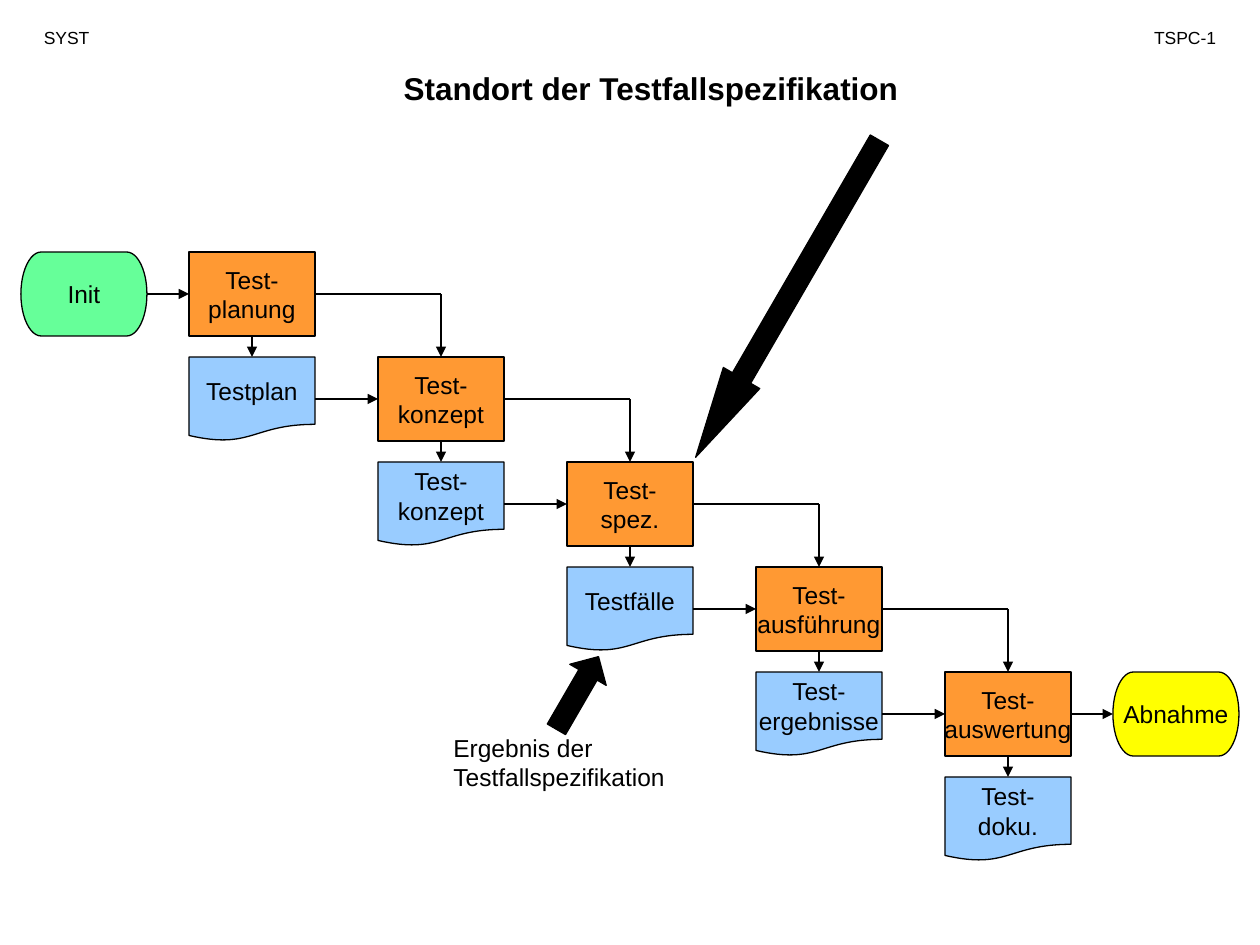
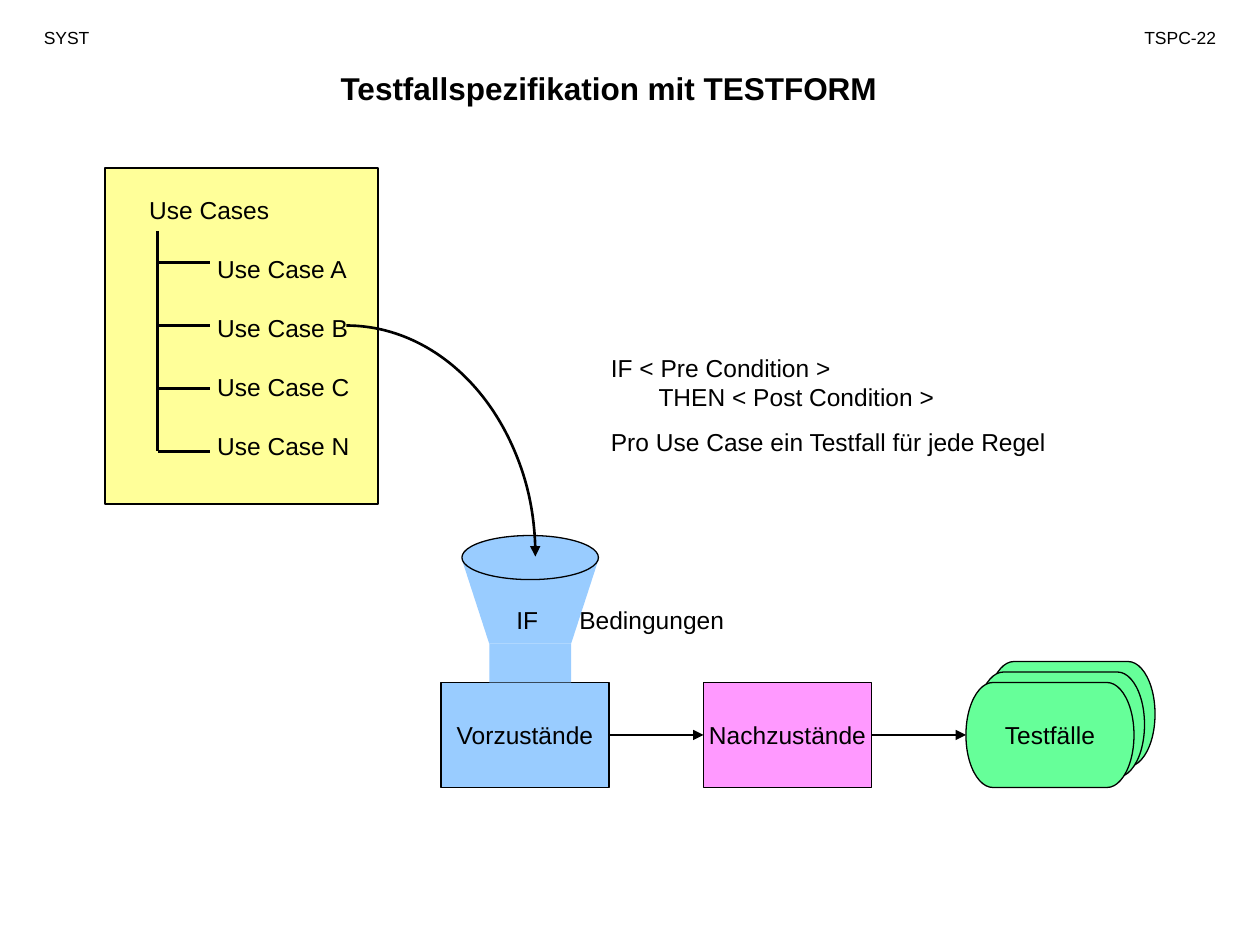
from lxml import etree
from pptx import Presentation
from pptx.dml.color import RGBColor
from pptx.enum.shapes import MSO_CONNECTOR, MSO_SHAPE
from pptx.enum.text import MSO_ANCHOR, MSO_AUTO_SIZE, PP_ALIGN
from pptx.oxml.ns import qn
from pptx.util import Inches, Pt

RECT, OVAL, ARC = MSO_SHAPE.RECTANGLE, MSO_SHAPE.OVAL, MSO_SHAPE.ARC
DOC, TERM = MSO_SHAPE.FLOWCHART_DOCUMENT, MSO_SHAPE.FLOWCHART_TERMINATOR
FUNNEL, UP = MSO_SHAPE.FLOWCHART_MANUAL_OPERATION, MSO_SHAPE.UP_ARROW
STRAIGHT = MSO_CONNECTOR.STRAIGHT
LEFT, MID, RIGHT = PP_ALIGN.LEFT, PP_ALIGN.CENTER, PP_ALIGN.RIGHT
TOP, CENTER = MSO_ANCHOR.TOP, MSO_ANCHOR.MIDDLE

FONT = "Arial"
BLACK, BLUE, GREEN = "000000", "99CCFF", "66FF99"
ORANGE, YELLOW, CREAM, PINK = "FF9933", "FFFF00", "FFFF99", "FF99FF"
THIN, THICK = 0.75, 1.5
TITLE_ONLY, TITLE_BODY = 5, 1


def hue(code):
    return RGBColor.from_string(code)


def unit(*counts):
    """Turn counts of grid cells, twelve to the inch, into lengths."""
    return [Inches(n / 12) for n in counts]


class Deck:
    def __init__(self):
        self.prs = Presentation()
        self.prs.slide_width, self.prs.slide_height = unit(120, 90)

    def page(self, layout, title, span, code):
        """Start a slide; span is the title's left edge and width."""
        self.slide = self.prs.slides.add_slide(self.prs.slide_layouts[layout])
        self.shapes = self.slide.shapes
        self.hold(self.shapes.title, span[0], 6, span[1], 4.8)
        self.label(self.shapes.title, title, 18, MID, bold=True)
        self.note("SYST", 3, 2, 11, 3.2, 10)
        self.note(code, 104, 2, 13, 3.2, 10, RIGHT)

    def hold(self, shape, *place):
        shape.left, shape.top, shape.width, shape.height = unit(*place)

    def label(self, shape, text, size=14, align=LEFT, anchor=TOP,
              wrap=True, bold=False):
        frame = shape.text_frame
        frame.text = text
        frame.word_wrap = wrap
        frame.auto_size = MSO_AUTO_SIZE.NONE
        frame.vertical_anchor = anchor
        for para in frame.paragraphs:
            para.alignment = align
            para.space_before = Pt(0)
            for run in para.runs:
                font = run.font
                font.name, font.size, font.bold = FONT, Pt(size), bold
                font.color.rgb = hue(BLACK)
        return frame.paragraphs

    def note(self, text, x, y, w, h, size=14, align=LEFT):
        box = self.shapes.add_textbox(*unit(x, y, w, h))
        return self.label(box, text, size, align)

    def bullets(self, text, gap, inset, *place):
        """Fill the body with a plain list; all but the head are inset."""
        body = self.slide.placeholders[1]
        self.hold(body, *place)
        self.shapes._spTree.append(body._element)
        for i, para in enumerate(self.label(body, text)):
            self.indent(para, inset if i else 0)
            etree.SubElement(para._p.get_or_add_pPr(), qn("a:buNone"))
            if i:
                para.space_before = Pt(gap)

    def indent(self, para, points):
        props = para._p.get_or_add_pPr()
        props.set("marL", str(Pt(points)))
        props.set("indent", "0")

    def box(self, kind, x, y, w, h, fill, text="", edge=THIN):
        shape = self.shapes.add_shape(kind, *unit(x, y, w, h))
        shape.shadow.inherit = False
        if fill:
            shape.fill.solid()
            shape.fill.fore_color.rgb = hue(fill)
        else:
            shape.fill.background()
        if edge:
            self.stroke(shape, edge)
        else:
            shape.line.fill.background()
        if text:
            self.label(shape, text, 14, MID, CENTER, wrap=False)
        return shape

    def stroke(self, shape, width, head=False):
        shape.line.color.rgb = hue(BLACK)
        shape.line.width = Pt(width)
        if head:
            edge = shape._element.spPr.find(qn("a:ln"))
            etree.SubElement(edge, qn("a:tailEnd"), type="triangle")

    def line(self, x, y, to_x, to_y, head=True):
        link = self.shapes.add_connector(STRAIGHT, *unit(x, y, to_x, to_y))
        self.stroke(link, THICK, head)
        etree.SubElement(link._element.spPr, qn("a:effectLst"))

    def point(self, x, y, h, turn, tip):
        """Draw a heavy block arrow; tip is its head length in widths."""
        arrow = self.box(UP, x, y, 4, h, BLACK)
        arrow.adjustments[0], arrow.adjustments[1] = 0.5, tip
        arrow.rotation = turn


def draw_flow(deck):
    deck.page(TITLE_ONLY, "Standort der Testfallspezifikation",
              (26, 72), "TSPC-1")
    steps = [("planung", "Testplan"), ("konzept", "Test-\nkonzept"),
             ("spez.", "Testfälle"), ("ausführung", "Test-\nergebnisse"),
             ("auswertung", "Test-\ndoku.")]
    for i, (task, result) in enumerate(steps):
        x, y = 18 + 18 * i, 24 + 10 * i
        deck.box(RECT, x, y, 12, 8, ORANGE, "Test-\n" + task)
        deck.box(DOC, x, y + 10, 12, 8, BLUE, result)
        deck.line(x + 6, y + 8, x + 6, y + 10)
        if i < len(steps) - 1:
            deck.line(x + 12, y + 4, x + 24, y + 4, head=False)
            deck.line(x + 24, y + 4, x + 24, y + 10)
            deck.line(x + 12, y + 14, x + 18, y + 14)
    deck.box(TERM, 2, 24, 12, 8, GREEN, "Init")
    deck.line(14, 28, 18, 28)
    deck.box(TERM, 106, 64, 12, 8, YELLOW, "Abnahme")
    deck.line(102, 68, 106, 68)
    deck.point(53, 62, 8, 30.1, 0.5)
    deck.point(73, 11, 34.9, 210.1, 2.18)
    deck.note("Ergebnis der Testfallspezifikation", 42, 69.2, 24, 6.8)


def draw_cases(deck):
    deck.page(TITLE_BODY, "Testfallspezifikation mit TESTFORM",
              (9, 98), "TSPC-22")
    deck.box(RECT, 10, 16, 26, 32, CREAM)
    cases = ["Use Cases"] + ["Use Case " + key for key in "ABCN"]
    deck.bullets("\n".join(cases), 16.8, 38.9, 13, 18, 23, 26.4)
    deck.line(15, 22, 15, 43, head=False)
    for i in range(4):
        deck.line(15, 25 + 6 * i, 20, 25 + 6 * i, head=False)

    rules = deck.note("IF < Pre Condition >\nTHEN < Post Condition >\n"
                      "Pro Use Case ein Testfall für jede Regel",
                      57, 33, 50, 11)
    deck.indent(rules[1], 27.2)
    rules[2].space_before = Pt(8.8)

    deck.box(RECT, 42, 65, 16, 10, BLUE, "Vorzustände")
    deck.box(RECT, 67, 65, 16, 10, PINK, "Nachzustände")
    for i, text in enumerate(["", "", "Testfälle"]):
        deck.box(TERM, 94 - i, 63 + i, 16, 10, GREEN, text)
    for x in (58, 83):
        deck.line(x, 70, x + 9, 70)

    deck.box(FUNNEL, 44, 53.3, 13, 8, BLUE, edge=0)
    deck.box(OVAL, 44, 51, 13, 4.2, BLUE)
    deck.box(RECT, 46.6, 61.3, 7.8, 3.7, BLUE, edge=0)
    curve = deck.box(ARC, 15, 31, 36, 44, None)
    deck.stroke(curve, THICK, head=True)
    deck.note("IF", 48, 57, 5, 4.1)
    deck.note("Bedingungen", 54, 57, 19, 4.1)


def main():
    deck = Deck()
    draw_flow(deck)
    draw_cases(deck)
    deck.prs.save("out.pptx")


if __name__ == "__main__":
    main()
